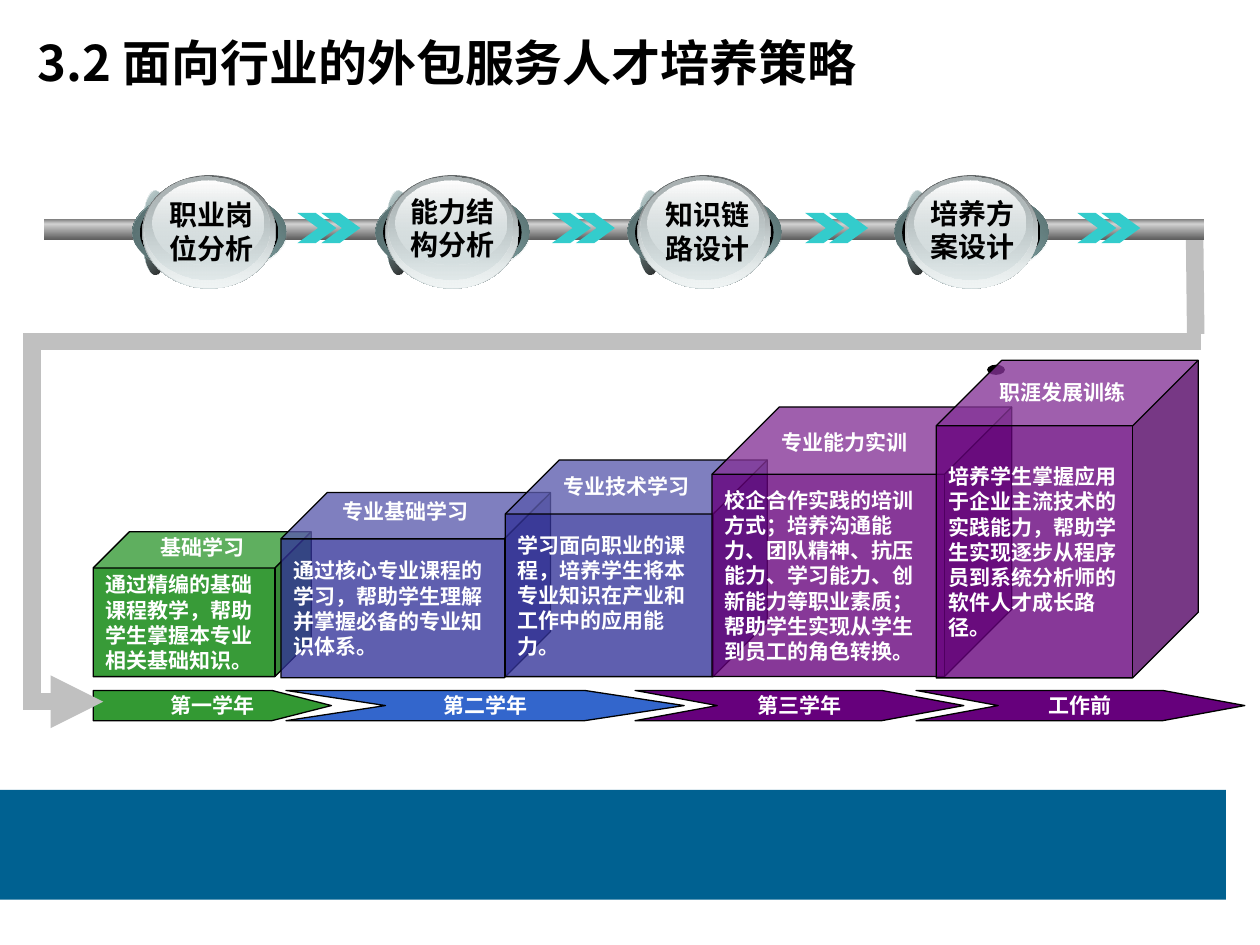
import pptx
import pptx.util
import pptx.oxml
import pptx.oxml.ns
import pptx.dml.color
import pptx.enum.shapes
import pptx.enum.text
from lxml import etree

Inches = pptx.util.Inches
Pt = pptx.util.Pt
Shape = pptx.enum.shapes.MSO_SHAPE
Connector = pptx.enum.shapes.MSO_CONNECTOR
Align = pptx.enum.text.PP_ALIGN
Anchor = pptx.enum.text.MSO_ANCHOR
qn = pptx.oxml.ns.qn

FONT = "Noto Sans CJK SC"
COLORS = {
    "black": "000000", "white": "FFFFFF", "band": "006191", "pipe": "C0C0C0",
    "teal": "33CCCC", "green": "008000", "indigo": "333399", "purple": "66007C",
    "year_green": "339933", "year_blue": "3366CC",
}

# Lens layers, back to front: offset and size in the lens box, stops, angle.
# A stop is (position, colour, opacity), all but the colour in percent.
LENS_LAYERS = [
    (0.08, 0.12, 0.20, 0.67, [(0, "FFFFFF", 100), (50, "83A6A7", 100), (100, "FFFFFF", 100)], 45),
    (0.08, 0.12, 0.20, 0.67, [(0, "83A6A7", 32), (100, "000000", 90)], 45),
    (0.00, 0.12, 1.22, 0.66, [(0, "475A5A", 100), (50, "83A6A7", 100), (100, "475A5A", 100)], 315),
    (0.00, 0.12, 1.22, 0.67, [(0, "53696A", 100), (100, "83A6A7", 0)], 45),
    (0.06, 0.12, 1.10, 0.67, [(0, "000000", 100), (100, "000000", 100)], 0),
    (0.08, 0.00, 1.06, 0.90, [(0, "636869", 100), (100, "D6E1E2", 100)], 90),
    (0.09, 0.01, 1.04, 0.88, [(0, "D6E1E2", 0), (100, "F1F5F5", 100)], 90),
    (0.10, 0.01, 0.99, 0.82, [(0, "AAB2B3", 100), (100, "D6E1E2", 48)], 90),
    (0.16, 0.04, 0.88, 0.67, [(0, "FFFFFF", 100), (100, "D6E1E2", 38)], 90),
]

# Lens left, then its label text, box and alignment
LENSES = [
    (1.05, "职业岗位分析", (1.14, 1.61, 1.08, 0.45), Align.CENTER),
    (2.98, "能力结构分析", (3.13, 1.51, 1.10, 0.60), Align.LEFT),
    (4.98, "知识链路设计", (5.10, 1.61, 1.03, 0.45), Align.CENTER),
    (7.10, "培养方案设计", (7.17, 1.60, 1.09, 0.45), Align.CENTER),
]
CHEVRON_LEFTS = [2.36, 4.38, 6.39, 8.55]

# Cube box, colour, body, heading, heading box
STAGES = [
    ((0.74, 4.22, 1.73, 1.15), "green", "通过精编的基础课程教学，帮助学生掌握本专业相关基础知识。",
     "基础学习", (1.18, 4.19, 0.86, 0.3)),
    ((2.23, 3.91, 2.14, 1.47), "indigo", "通过核心专业课程的学习，帮助学生理解并掌握必备的专业知识体系。",
     "专业基础学习", (2.62, 3.91, 1.2, 0.3)),
    ((4.01, 3.65, 2.08, 1.72), "indigo", "学习面向职业的课程，培养学生将本专业知识在产业和工作中的应用能力。",
     "专业技术学习", (4.37, 3.71, 1.2, 0.3)),
    ((5.65, 3.23, 2.38, 2.14), "purple",
     "校企合作实践的培训方式；培养沟通能力、团队精神、抗压能力、学习能力、创新能力等职业素质；帮助学生实现从学生到员工的角色转换。",
     "专业能力实训", (6.1, 3.36, 1.2, 0.3)),
    ((7.43, 2.86, 2.08, 2.52), "purple",
     "培养学生掌握应用于企业主流技术的实践能力，帮助学生实现逐步从程序员到系统分析师的软件人才成长路径。",
     "职涯发展训练", (7.59, 2.96, 1.68, 0.3)),
]
# Left, width, colour, label, notched
YEARS = [
    (0.74, 1.89, "year_green", "第一学年", False),
    (2.27, 3.16, "year_blue", "第二学年", True),
    (5.04, 2.61, "purple", "第三学年", True),
    (7.27, 2.61, "purple", "工作前", True),
]


def rgb(name):
    return pptx.dml.color.RGBColor.from_string(COLORS[name])


def write(shape, text, size, color, align=Align.LEFT, side_margin=0.1):
    frame = shape.text_frame
    frame.word_wrap = True
    frame.vertical_anchor = Anchor.MIDDLE
    frame.margin_left = frame.margin_right = Inches(side_margin)
    para = frame.paragraphs[0]
    para.alignment = align
    para._p.get_or_add_pPr().set("hangingPunct", "0")
    span = para.add_run()
    span.text = text
    for name, value in {"name": FONT, "size": Pt(size), "bold": True}.items():
        setattr(span.font, name, value)
    span.font.color.rgb = rgb(color)
    east_asian = etree.SubElement(span.font._element, qn("a:ea"))
    east_asian.set("typeface", FONT)


def paint(shape, color=None, outlined=False, opacity=100):
    shape.shadow.inherit = False
    if color:
        shape.fill.solid()
        shape.fill.fore_color.rgb = rgb(color)
        if opacity < 100:
            tint = shape._element.spPr.find(".//" + qn("a:srgbClr"))
            etree.SubElement(tint, qn("a:alpha")).set("val", str(opacity * 1000))
    else:
        shape.fill.background()
    if outlined:
        shape.line.color.rgb = rgb("black")
        shape.line.width = Pt(0.75)
    else:
        shape.line.fill.background()


def add_preset(page, kind, box, **look):
    shape = page.shapes.add_shape(kind, *map(Inches, box))
    paint(shape, **look)
    return shape


def add_gradient(page, kind, box, stops, angle):
    shape = add_preset(page, kind, box)
    shape.fill.gradient()
    shape.fill.gradient_angle = 0
    gradient = shape._element.spPr.find(qn("a:gradFill"))
    gradient.find(qn("a:lin")).set("ang", str(angle * 60000))
    stop_list = gradient.find(qn("a:gsLst"))
    for old_stop in list(stop_list):
        stop_list.remove(old_stop)
    for position, color, opacity in stops:
        stop = etree.SubElement(stop_list, qn("a:gs"), pos=str(position * 1000))
        tint = etree.SubElement(stop, qn("a:srgbClr"), val=color)
        if opacity < 100:
            etree.SubElement(tint, qn("a:alpha"), val=str(opacity * 1000))


def add_chevron(page, box, tip_share, notched=True, **look):
    """Draw a right-pointing band whose tip takes tip_share of its width."""
    left, top, width, height = box
    tip = width * tip_share
    right, middle, bottom = left + width, top + height / 2, top + height
    points = [(right - tip, top), (right, middle), (right - tip, bottom), (left, bottom)]
    if notched:
        points.append((left + tip, middle))
    builder = page.shapes.build_freeform(Inches(left), Inches(top))
    builder.add_line_segments([(Inches(x), Inches(y)) for x, y in points], close=True)
    shape = builder.convert_to_shape()
    paint(shape, **look)
    return shape


def add_pipe(page, kind, start, end):
    pipe = page.shapes.add_connector(kind, *map(Inches, start + end))
    pipe.line.color.rgb = rgb("pipe")
    pipe.line.width = Pt(10)
    etree.SubElement(pipe.line._get_or_add_ln(), qn("a:miter"), lim="800000")
    etree.SubElement(pipe._element.spPr, qn("a:effectLst"))
    return pipe


def add_return_path(page):
    elbow = add_pipe(page, Connector.ELBOW, (9.53, 2.71), (0.82, 5.57))
    etree.SubElement(elbow.line._get_or_add_ln(), qn("a:tailEnd"), type="triangle")
    guides = elbow._element.spPr.find(qn("a:prstGeom")).get_or_add_avLst()
    etree.SubElement(guides, qn("a:gd"), name="adj1", fmla="val 106500")
    add_pipe(page, Connector.STRAIGHT, (9.48, 1.78), (9.49, 2.65))


def add_stages(page):
    add_preset(page, Shape.OVAL, (7.84, 2.9, 0.13, 0.07), color="black", outlined=True)
    for box, color, body, _, _ in STAGES:
        cube = add_preset(page, Shape.CUBE, box, color=color, outlined=True, opacity=78)
        write(cube, body, 12, "white")
    for left, width, color, label, notched in YEARS:
        band = add_chevron(page, (left, 5.48, width, 0.24), 0.25, notched, color=color, outlined=True)
        write(band, label, 12, "white", Align.CENTER)
    for _, _, _, heading, box in STAGES:
        write(page.shapes.add_textbox(*map(Inches, box)), heading, 12, "white", Align.CENTER, side_margin=0)


def add_lens(page, left, top):
    for dx, dy, width, height, stops, angle in LENS_LAYERS:
        add_gradient(page, Shape.OVAL, (left + dx, top + dy, width, height), stops, angle)


def add_analysis_line(page, left, top, width):
    add_gradient(page, Shape.RECTANGLE, (left, top, width, 0.05), [(0, "808080", 100), (100, "ECECEC", 100)], 90)
    add_gradient(page, Shape.RECTANGLE, (left, top + 0.04, width, 0.12), [(0, "CFCFCF", 100), (100, "5F5F5F", 100)], 90)
    for lens_left, label, box, align in LENSES:
        add_lens(page, lens_left, top - 0.35)
        write(add_preset(page, Shape.ROUNDED_RECTANGLE, box), label, 16, "black", align)
    for chevron_left in CHEVRON_LEFTS:
        for shift in (0, 0.19):
            add_chevron(page, (chevron_left + shift, top - 0.05, 0.31, 0.24), 0.53, color="teal")


def place_title(page, box):
    title = page.shapes.title
    for name, value in zip(("left", "top", "width", "height"), box):
        setattr(title, name, Inches(value))
    write(title, "3.2 面向行业的外包服务人才培养策略", 28, "black")


def main():
    deck = pptx.Presentation()
    deck.slide_width, deck.slide_height = Inches(10), Inches(7.5)
    page = deck.slides.add_slide(deck.slide_layouts[5])
    add_preset(page, Shape.RECTANGLE, (0, 6.27, 9.73, 0.87), color="band")
    add_stages(page)
    add_return_path(page)
    add_analysis_line(page, 0.35, 1.74, 9.21)
    place_title(page, (0.2, 0.21, 9.29, 0.57))
    deck.save("out.pptx")


if __name__ == "__main__":
    main()
